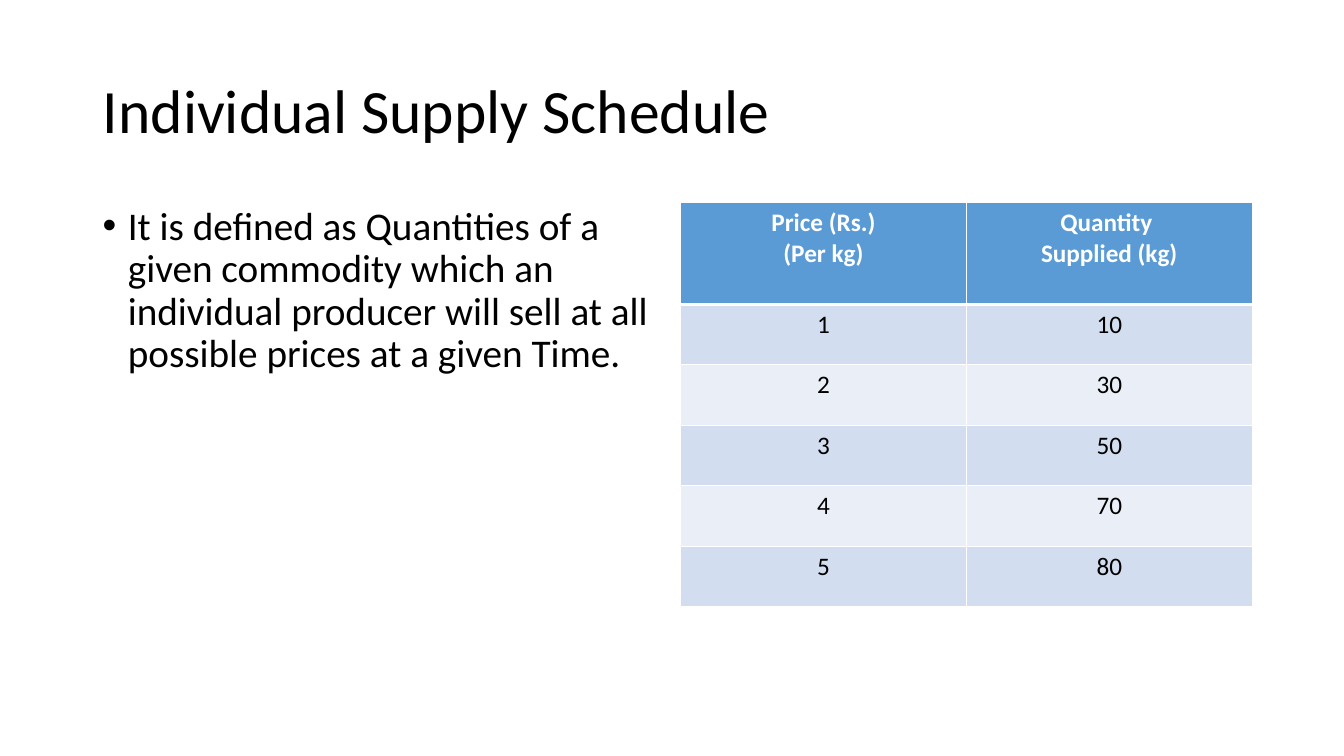
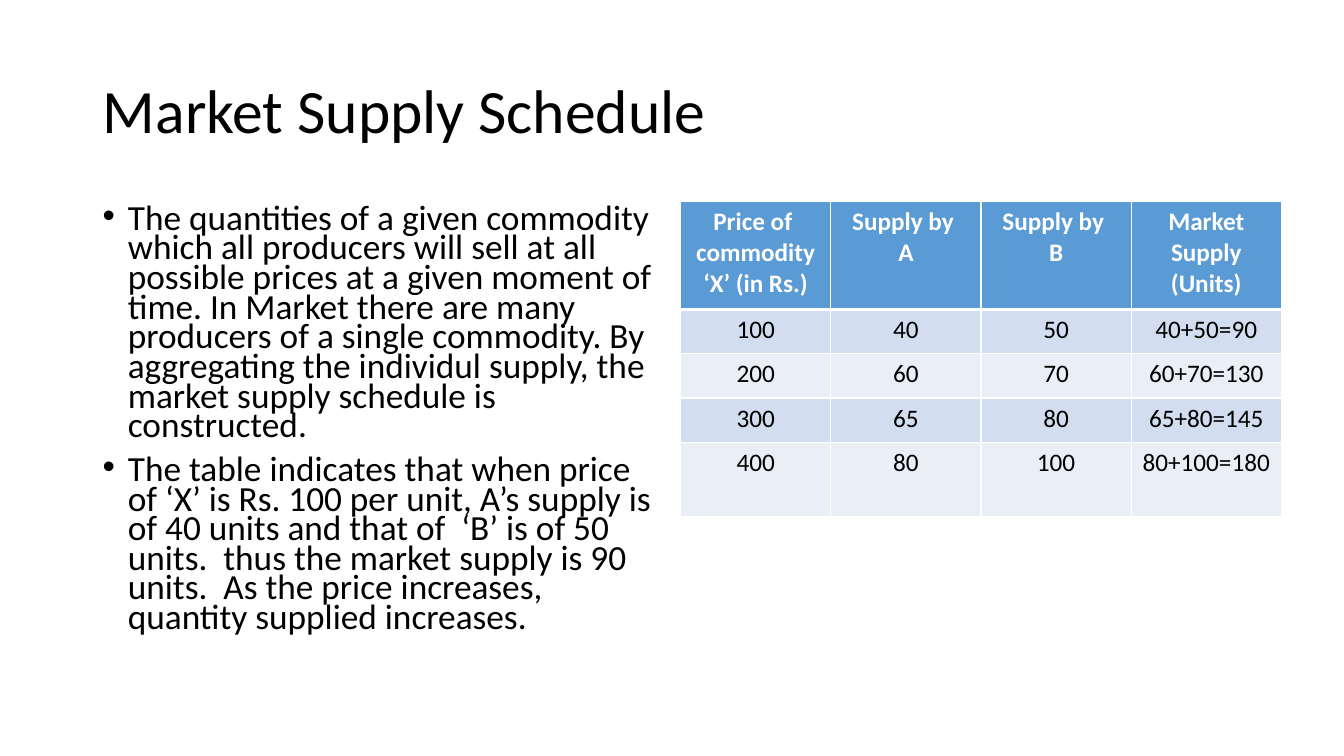
from dataclasses import dataclass

from lxml import etree
from pptx import Presentation
from pptx.dml.color import RGBColor
from pptx.enum.text import MSO_ANCHOR, MSO_AUTO_SIZE, PP_ALIGN
from pptx.oxml.ns import qn
from pptx.util import Inches, Pt

LEFT, CENTER = PP_ALIGN.LEFT, PP_ALIGN.CENTER
TOP, MIDDLE = MSO_ANCHOR.TOP, MSO_ANCHOR.MIDDLE
NO_AUTOFIT = MSO_AUTO_SIZE.NONE
TITLE_ONLY = 5


@dataclass(frozen=True)
class Theme:
    font: str = "Calibri"
    text: str = "000000"
    white: str = "FFFFFF"
    header: str = "5B9BD5"
    bands: tuple = ("D2DEEF", "EAEFF7")
    title_size: float = 44
    table_size: float = 18
    border: float = 1
    header_border: float = 3


THEME = Theme()
TITLE_BOX = (0.92, 0.4, 11.5, 1.45)
BODY_BOX = (0.92, 2, 5.67, 4.76)
TABLE_LEFT = 6.75

SLIDES = [
    {
        "title": "Individual Supply Schedule",
        "bullets": [
            "It is defined as Quantities of a given commodity which an individual "
            "producer will sell at all possible prices at a given Time.",
        ],
        "bullet_size": 28,
        "line_spacing": 0.9,
        "table_top": 2.01,
        "table_width": 5.67,
        "row_heights": [1.01] + [0.6] * 5,
        "rows": [
            ("Price (Rs.)\n(Per kg)", "Quantity \nSupplied (kg)"),
            ("1", "10"),
            ("2", "30"),
            ("3", "50"),
            ("4", "70"),
            ("5", "80"),
        ],
    },
    {
        "title": "Market Supply Schedule",
        "bullets": [
            "The quantities of a given commodity which all producers will sell at all "
            "possible prices at a given moment of time. In Market there are many "
            "producers of a single commodity. By aggregating the individul supply, "
            "the market supply schedule is constructed.",
            "The table indicates that when price of ‘X’ is Rs. 100 per unit, A’s "
            "supply is of 40 units and that of  ‘B’ is of 50 units.  thus the market "
            "supply is 90 units.  As the price increases, quantity supplied increases.",
        ],
        "bullet_size": 25.2,
        "line_spacing": 0.7,
        "table_top": 2,
        "table_width": 5.96,
        "row_heights": [1.07] + [0.44] * 3 + [0.74],
        "rows": [
            ("Price of \ncommodity ‘X’ (in Rs.)", "Supply by \nA", "Supply by \nB",
             "Market Supply (Units)"),
            ("100", "40", "50", "40+50=90"),
            ("200", "60", "70", "60+70=130"),
            ("300", "65", "80", "65+80=145"),
            ("400", "80", "100", "80+100=180"),
        ],
    },
]


def inches(values):
    return [Inches(value) for value in values]


def format_text(text_frame, size, color, alignment, bold=False):
    for paragraph in text_frame.paragraphs:
        paragraph.alignment = alignment
        for run in paragraph.runs:
            run.font.name = THEME.font
            run.font.size = Pt(size)
            run.font.bold = bold
            run.font.color.rgb = RGBColor.from_string(color)


def add_title(slide, text):
    title = slide.shapes.title
    title.left, title.top, title.width, title.height = inches(TITLE_BOX)
    frame = title.text_frame
    frame.text = text
    frame.auto_size = NO_AUTOFIT
    frame.vertical_anchor = MIDDLE
    frame.paragraphs[0].line_spacing = 0.9
    format_text(frame, THEME.title_size, THEME.text, LEFT)


def add_bullets(slide, bullets, size, line_spacing):
    frame = slide.shapes.add_textbox(*inches(BODY_BOX)).text_frame
    frame.word_wrap = True
    frame.auto_size = NO_AUTOFIT
    frame.vertical_anchor = TOP
    frame.text = "\n".join(bullets)
    format_text(frame, size, THEME.text, LEFT)
    for paragraph in frame.paragraphs:
        paragraph.line_spacing = line_spacing
        paragraph.space_before = Pt(10)
        properties = paragraph._p.get_or_add_pPr()
        properties.set("marL", str(Inches(0.25)))
        properties.set("indent", str(-Inches(0.25)))
        etree.SubElement(properties, qn("a:buFont")).set("typeface", "Arial")
        etree.SubElement(properties, qn("a:buChar")).set("char", "•")


def set_borders(cell, top, bottom):
    properties = cell._tc.get_or_add_tcPr()
    sides = {"lnL": THEME.border, "lnR": THEME.border, "lnT": top, "lnB": bottom}
    for position, (side, width) in enumerate(sides.items()):
        line = etree.Element(qn(f"a:{side}"), w=str(Pt(width)))
        fill = etree.SubElement(line, qn("a:solidFill"))
        etree.SubElement(fill, qn("a:srgbClr")).set("val", THEME.white)
        properties.insert(position, line)


def add_table(slide, rows, top, width, row_heights):
    column_count = len(rows[0])
    table = slide.shapes.add_table(
        len(rows), column_count,
        *inches((TABLE_LEFT, top, width, sum(row_heights))),
    ).table
    for column in table.columns:
        column.width = Inches(width / column_count)
    for row_index, (values, height) in enumerate(zip(rows, row_heights)):
        table.rows[row_index].height = Inches(height)
        is_header = row_index == 0
        fill = THEME.header if is_header else THEME.bands[(row_index - 1) % 2]
        color = THEME.white if is_header else THEME.text
        top_border = THEME.header_border if row_index == 1 else THEME.border
        bottom_border = THEME.header_border if is_header else THEME.border
        for column_index, value in enumerate(values):
            cell = table.cell(row_index, column_index)
            cell.text_frame.text = value
            cell.fill.solid()
            cell.fill.fore_color.rgb = RGBColor.from_string(fill)
            format_text(cell.text_frame, THEME.table_size, color, CENTER, is_header)
            set_borders(cell, top_border, bottom_border)


def main():
    presentation = Presentation()
    presentation.slide_width = Inches(13.33)
    presentation.slide_height = Inches(7.5)
    for content in SLIDES:
        slide = presentation.slides.add_slide(presentation.slide_layouts[TITLE_ONLY])
        add_title(slide, content["title"])
        add_bullets(slide, content["bullets"], content["bullet_size"],
                    content["line_spacing"])
        add_table(slide, content["rows"], content["table_top"],
                  content["table_width"], content["row_heights"])
    presentation.save("out.pptx")


if __name__ == "__main__":
    main()
